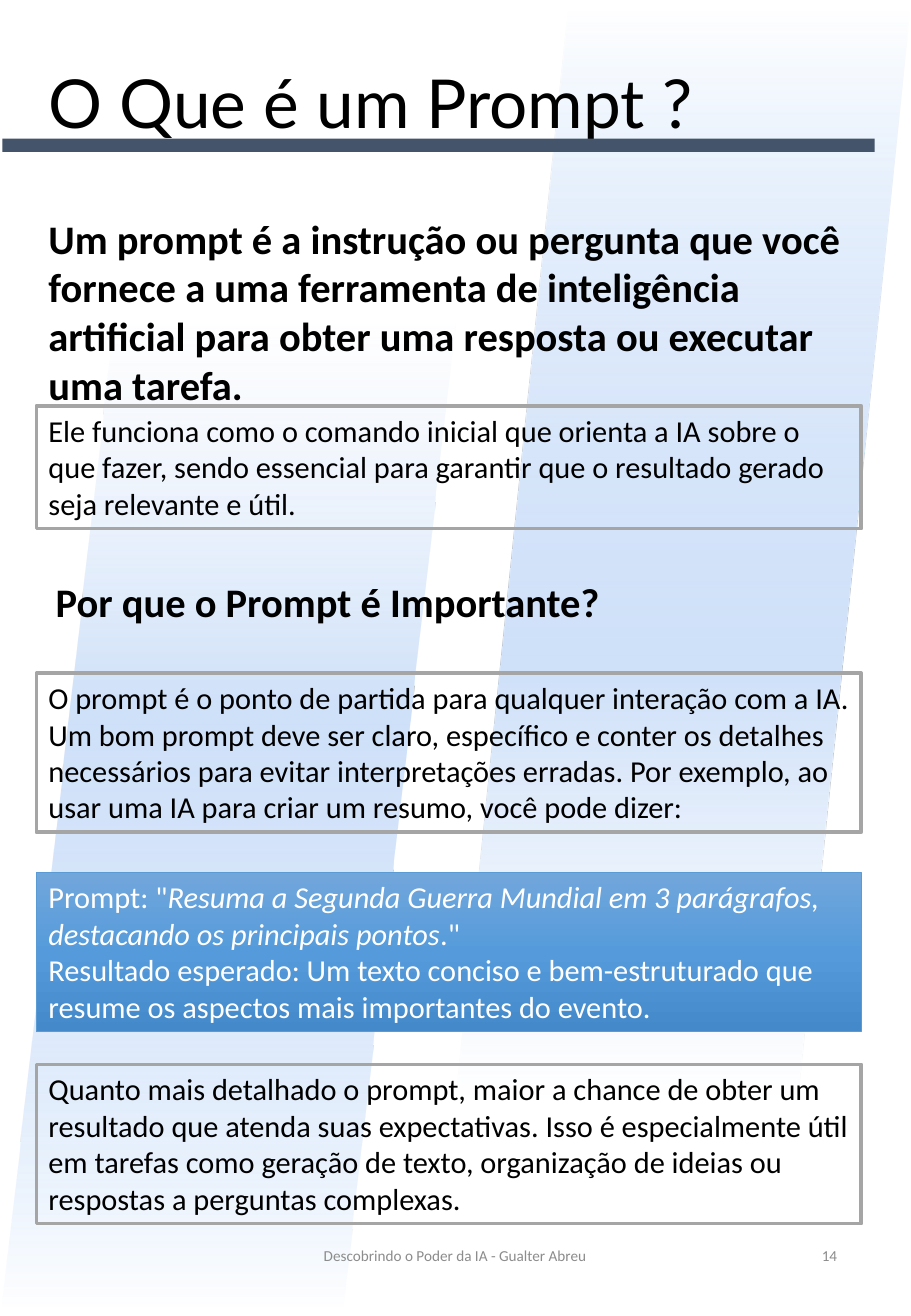
from dataclasses import dataclass

from lxml.etree import SubElement
from pptx import Presentation
from pptx.dml.color import RGBColor
from pptx.enum.shapes import MSO_SHAPE
from pptx.enum.text import MSO_ANCHOR, MSO_AUTO_SIZE, PP_ALIGN
from pptx.oxml.ns import qn
from pptx.util import Emu, Pt

PX = 9144  # 100 px to the inch
BLACK, WHITE, GREY, MUTED = "000000", "FFFFFF", "A5A5A5", "8C8C8C"
LEFT, BOX_W = 30, 679

# Gradient stops: position %, colour, opacity %
BAND_STOPS = [(1, "9AC3F5", 0), (32, "C2D8F8", 56), (61, "CFE1F9", 100), (100, "E1EBFB", 0)]
EXAMPLE_STOPS = [(0, "71A6DB", 100), (50, "559BDB", 100), (100, "448ACA", 100)]


@dataclass
class Run:
    text: str
    italic: bool = False


@dataclass
class Band:
    x: int
    y: int
    h: int
    angle: int  # counter-clockwise


@dataclass
class Panel:
    y: int
    h: int
    paragraphs: list[list[Run]]
    example: bool = False


@dataclass
class Label:
    x: int
    y: int
    w: int
    h: int
    text: str
    size: int = 24
    color: str = BLACK
    bold: bool = True
    align: PP_ALIGN = PP_ALIGN.LEFT
    anchor: MSO_ANCHOR = MSO_ANCHOR.TOP


BANDS = [Band(0, 262, 821, 90), Band(375, 0, 907, 270)]

PANELS = [
    Panel(334, 101, [[Run("Ele funciona como o comando inicial que orienta a IA sobre o que fazer, "
                          "sendo essencial para garantir que o resultado gerado seja relevante e útil.")]]),
    Panel(554, 131, [[Run("O prompt é o ponto de partida para qualquer interação com a IA. Um bom prompt "
                          "deve ser claro, específico e conter os detalhes necessários para evitar "
                          "interpretações erradas. Por exemplo, ao usar uma IA para criar um resumo, "
                          "você pode dizer:")]]),
    Panel(718, 131, [
        [Run('Prompt: "'),
         Run("Resuma a Segunda Guerra Mundial em 3 parágrafos, destacando os principais pontos", True),
         Run('."')],
        [Run("Resultado esperado: Um texto conciso e bem-estruturado que resume os aspectos mais "
             "importantes do evento.")],
    ], example=True),
    Panel(876, 131, [[Run("Quanto mais detalhado o prompt, maior a chance de obter um resultado que atenda "
                          "suas expectativas. Isso é especialmente útil em tarefas como geração de texto, "
                          "organização de ideias ou respostas a perguntas complexas.")]]),
]

LABELS = [
    Label(LEFT, 171, 691, 131, "Um prompt é a instrução ou pergunta que você fornece a uma ferramenta de "
                               "inteligência artificial para obter uma resposta ou executar uma tarefa."),
    Label(36, 470, BOX_W, 50, "Por que o Prompt é Importante?"),
    Label(248, 1004, 253, 58, "Descobrindo o Poder da IA - Gualter Abreu", 9, MUTED, False,
          PP_ALIGN.CENTER, MSO_ANCHOR.MIDDLE),
    Label(530, 1004, 169, 58, "14", 9, MUTED, False, PP_ALIGN.RIGHT, MSO_ANCHOR.MIDDLE),
]


def box(*lengths: int) -> list[Emu]:
    return [Emu(n * PX) for n in lengths]


def rgb(color: str) -> RGBColor:
    return RGBColor.from_string(color)


def add_run(p, text: str, size: int, color: str, font: str = "Calibri",
            bold: bool = False, italic: bool = False) -> None:
    r = p.add_run()
    r.text = text
    r.font.name, r.font.size = font, Pt(size)
    r.font.bold, r.font.italic = bold, italic
    r.font.color.rgb = rgb(color)


def add_plain_shape(s, kind: MSO_SHAPE, x: int, y: int, w: int, h: int):
    sp = s.shapes.add_shape(kind, *box(x, y, w, h))
    sp.shadow.inherit = False
    sp.line.fill.background()
    return sp


def set_gradient(sp, stops: list[tuple[int, str, int]], angle: int) -> None:
    sp.fill.gradient()
    sp.fill.gradient_angle = angle
    stop_list = sp._element.spPr.find(qn("a:gradFill")).find(qn("a:gsLst"))
    for old in list(stop_list):
        stop_list.remove(old)
    for pos, color, opacity in stops:
        stop = SubElement(stop_list, qn("a:gs"), pos=str(pos * 1000))
        clr = SubElement(stop, qn("a:srgbClr"), val=color)
        if opacity < 100:
            SubElement(clr, qn("a:alpha"), val=str(opacity * 1000))


def add_band(s, band: Band) -> None:
    sp = add_plain_shape(s, MSO_SHAPE.PARALLELOGRAM, band.x, band.y, 375, band.h)
    set_gradient(sp, BAND_STOPS, band.angle)


def add_title(s, text: str) -> None:
    title = s.shapes.title
    title.left, title.top, title.width, title.height = box(LEFT, 45, 590, 77)
    s.shapes._spTree.append(title._element)  # in front of the bands
    tf = title.text_frame
    tf.word_wrap = False
    tf.auto_size = MSO_AUTO_SIZE.SHAPE_TO_FIT_TEXT
    tf.vertical_anchor = MSO_ANCHOR.TOP
    p = tf.paragraphs[0]
    p.alignment = PP_ALIGN.LEFT
    add_run(p, text, 40, BLACK, "Lato")


def add_panel(s, panel: Panel) -> None:
    sp = add_plain_shape(s, MSO_SHAPE.RECTANGLE, LEFT, panel.y, BOX_W, panel.h)
    if panel.example:
        set_gradient(sp, EXAMPLE_STOPS, 270)
    else:
        sp.fill.background()
    sp.line.color.rgb = rgb("5B9BD5" if panel.example else GREY)
    sp.line.width = Pt(0.5 if panel.example else 2.25)
    tf = sp.text_frame
    tf.word_wrap = True
    tf.auto_size = MSO_AUTO_SIZE.SHAPE_TO_FIT_TEXT
    tf.vertical_anchor = MSO_ANCHOR.TOP
    for i, runs in enumerate(panel.paragraphs):
        p = tf.add_paragraph() if i else tf.paragraphs[0]
        p.alignment = PP_ALIGN.LEFT
        for run in runs:
            add_run(p, run.text, 18, WHITE if panel.example else BLACK, italic=run.italic)


def add_label(s, label: Label) -> None:
    tf = s.shapes.add_textbox(*box(label.x, label.y, label.w, label.h)).text_frame
    tf.word_wrap = True
    if label.anchor == MSO_ANCHOR.TOP:
        tf.auto_size = MSO_AUTO_SIZE.SHAPE_TO_FIT_TEXT
    tf.vertical_anchor = label.anchor
    p = tf.paragraphs[0]
    p.alignment = label.align
    add_run(p, label.text, label.size, label.color, bold=label.bold)


def main() -> None:
    prs = Presentation()
    prs.slide_width, prs.slide_height = box(750, 1083)
    s = prs.slides.add_slide(prs.slide_layouts[5])

    # Background bands
    for band in BANDS:
        add_band(s, band)

    # Title and its rule
    add_title(s, "O Que é um Prompt ?")
    rule = add_plain_shape(s, MSO_SHAPE.RECTANGLE, 2, 114, 718, 11)
    rule.fill.solid()
    rule.fill.fore_color.rgb = rgb("44546A")

    # Content and footer
    for panel in PANELS:
        add_panel(s, panel)
    for label in LABELS:
        add_label(s, label)

    prs.save("out.pptx")


if __name__ == "__main__":
    main()
